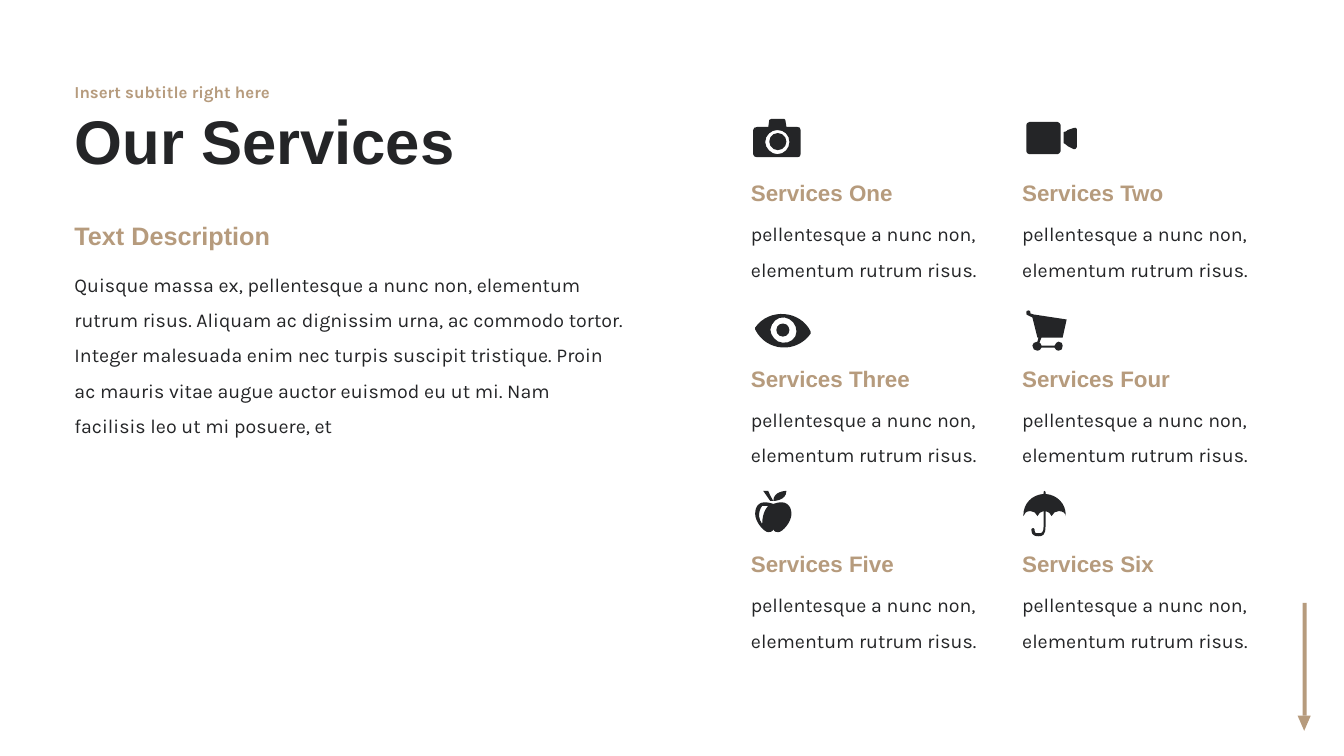
from pptx import Presentation, util as u
from pptx.dml.color import RGBColor
from pptx.enum import shapes, text
from pptx.oxml import ns, xmlchemy

INK = RGBColor(0x24, 0x25, 0x27)
TAN = RGBColor(0xB6, 0x9B, 0x7D)
MARGIN = 0.64
COLUMNS = (7.35, 10.04)
FIRST_ROW, ROW_STEP = 1.03, 1.84

# Icon outlines in hundredths of an inch from the top left of their grid cell.
# A pair is a corner, six numbers are a Bezier curve; each shape is a list of contours.
CAMERA = [[
    [(56, 23), (45, 23), (44, 16), (44, 15, 43, 15, 43, 15), (30, 15),
     (29, 15, 29, 15, 28, 16), (27, 23), (16, 23), (14, 23, 12, 24, 12, 26),
     (12, 50), (12, 52, 14, 53, 16, 53), (56, 53), (58, 53, 59, 52, 59, 50),
     (59, 26), (59, 24, 58, 23, 56, 23)],
    [(36, 50), (30, 50, 24, 44, 24, 38), (24, 31, 30, 26, 36, 26),
     (43, 26, 48, 31, 48, 38), (48, 44, 43, 50, 36, 50)],
]]
VIDEO = [
    [[(45, 18), (17, 18), (15, 18, 14, 20, 14, 21), (14, 47),
      (14, 48, 15, 50, 17, 50), (45, 50), (46, 50, 48, 48, 48, 47),
      (48, 21), (48, 20, 46, 18, 45, 18)]],
    [[(61, 24), (55, 26), (54, 27, 53, 28, 51, 28), (51, 39),
      (53, 40, 54, 41, 55, 42), (61, 45), (62, 45, 64, 45, 64, 43),
      (64, 25), (64, 24, 62, 23, 61, 24)]],
]
EYE = [[
    [(14, 38), (14, 40), (25, 62, 55, 64, 69, 44), (69, 42), (59, 21, 28, 18, 14, 38)],
    [(41, 53), (35, 53, 29, 46, 29, 40), (30, 33, 36, 27, 43, 28),
     (50, 29, 55, 35, 55, 42), (55, 49, 48, 54, 41, 53)],
]]
CART = [[
    [(46, 52), (44, 52, 43, 54, 42, 56), (29, 56), (29, 54, 28, 54, 27, 53),
     (29, 48), (50, 48), (54, 30), (21, 25), (18, 24), (18, 23),
     (18, 22, 18, 21, 16, 21), (14, 21, 14, 22, 14, 23), (14, 25, 14, 26, 16, 26),
     (20, 28), (25, 48), (26, 48), (25, 52), (22, 52, 20, 54, 20, 56),
     (20, 59, 22, 61, 25, 61), (27, 61, 28, 60, 29, 58), (42, 58),
     (43, 60, 44, 61, 46, 61), (49, 61, 50, 59, 50, 56), (50, 54, 49, 52, 46, 52)],
]]
APPLE = [
    [[(32, 29), (18, 24, 14, 31, 14, 39), (14, 47, 23, 57, 27, 57),
      (32, 57, 32, 54, 32, 54), (32, 54, 32, 57, 37, 57), (41, 57, 50, 47, 50, 39),
      (50, 31, 45, 24, 32, 29)],
     [(21, 49), (14, 39, 21, 31, 21, 31), (27, 31), (27, 31, 21, 36, 21, 49)]],
    [[(32, 26), (29, 21, 27, 16, 27, 16), (22, 16), (29, 26)]],
    [[(45, 16), (45, 16, 32, 16, 32, 26), (32, 26, 45, 26, 45, 16)]],
]
UMBRELLA = [[
    [(33, 19), (33, 17), (33, 17, 33, 16, 32, 16), (31, 16, 31, 17, 31, 17), (31, 19),
     (19, 20, 11, 29, 11, 40), (11, 41), (12, 38, 14, 36, 18, 36),
     (21, 36, 24, 38, 25, 41), (26, 39, 28, 36, 31, 36), (31, 51),
     (31, 58, 29, 58, 26, 58), (22, 58, 22, 57, 22, 54), (22, 53, 21, 53, 21, 53),
     (20, 53, 19, 53, 19, 54), (19, 57, 19, 61, 26, 61), (30, 61, 33, 60, 33, 51),
     (33, 36), (36, 36, 38, 39, 39, 41), (40, 38, 43, 36, 46, 36),
     (50, 36, 53, 38, 53, 41), (53, 40), (53, 29, 45, 20, 33, 19)],
]]

# Heading, icon outlines, and the round centre as left, top, diameter
SERVICES = [
    ("Services One", CAMERA, (28, 29, 17)),
    ("Services Two", VIDEO, None),
    ("Services Three", EYE, (35, 34, 13)),
    ("Services Four", CART, None),
    ("Services Five", APPLE, None),
    ("Services Six", UMBRELLA, None),
]

prs = Presentation()
prs.slide_width, prs.slide_height = u.Inches(13.33), u.Inches(7.5)
slide = prs.slides.add_slide(prs.slide_layouts[5])


def write(box, words, size, font, color, bold=False, spacing=None, fit=True):
    frame = box.text_frame
    frame.word_wrap = True
    frame.auto_size = (text.MSO_AUTO_SIZE.SHAPE_TO_FIT_TEXT if fit
                       else text.MSO_AUTO_SIZE.NONE)
    frame.vertical_anchor = text.MSO_ANCHOR.TOP if fit else text.MSO_ANCHOR.MIDDLE
    paragraph = frame.paragraphs[0]
    paragraph.alignment = text.PP_ALIGN.LEFT
    paragraph.line_spacing = spacing
    run = paragraph.add_run()
    run.text = words
    run.font.size, run.font.name, run.font.bold = u.Pt(size), font, bold
    run.font.color.rgb = color


def draw_outline(contours, left, top):
    """Build a freeform through all points, then bend each curve's three segments."""
    outline = None
    for contour in contours:
        points = [(u.Inches(left + step[i] / 100), u.Inches(top + step[i + 1] / 100))
                  for step in contour for i in range(0, len(step), 2)]
        if outline is None:
            outline = slide.shapes.build_freeform(*points[0])
        else:
            outline.move_to(*points[0])
        outline.add_line_segments(points[1:], close=True)
    shape = outline.convert_to_shape()

    segments = iter(list(next(shape.element.iter(ns.qn("a:path")))))
    for contour in contours:
        next(segments)  # move to the start
        for step in contour[1:]:
            lines = [next(segments) for _ in range(len(step) // 2)]
            if len(lines) == 3:
                curve = xmlchemy.OxmlElement("a:cubicBezTo")
                lines[0].addprevious(curve)
                for line in lines:
                    curve.append(line[0])
                    line.getparent().remove(line)
        next(segments)  # close
    return shape


# Scroll arrow
shaft = slide.shapes.add_shape(shapes.MSO_SHAPE.RECTANGLE, u.Inches(12.38), u.Inches(6.52),
                               u.Inches(1.12), u.Inches(0.04))
shaft.rotation = 90
tip = slide.shapes.add_shape(shapes.MSO_SHAPE.ISOSCELES_TRIANGLE, u.Inches(12.87),
                             u.Inches(7.1), u.Inches(0.13), u.Inches(0.15))
tip.rotation = 180
painted = [(shaft, TAN), (tip, TAN)]

# Title and description
title = slide.shapes.title
title.left, title.top = u.Inches(MARGIN), u.Inches(0.92)
title.width, title.height = u.Inches(7.5), u.Inches(1.03)
write(title, "Our Services", 44, "Arial", INK, bold=True, spacing=0.9, fit=False)

subtitle = slide.shapes.add_textbox(u.Inches(MARGIN), u.Inches(0.73),
                                    u.Inches(7.5), u.Inches(0.38))
write(subtitle, "Insert subtitle right here", 12, "Karla", TAN,
      bold=True, spacing=0.9, fit=False)

description = slide.shapes.add_textbox(u.Inches(MARGIN), u.Inches(2.54),
                                       u.Inches(5.65), u.Inches(1.48))
write(description,
      "Quisque massa ex, pellentesque a nunc non, elementum rutrum risus. Aliquam ac "
      "dignissim urna, ac commodo tortor. Integer malesuada enim nec turpis suscipit "
      "tristique. Proin ac mauris vitae augue auctor euismod eu ut mi. Nam facilisis "
      "leo ut mi posuere, et", 14, "Karla", INK, spacing=1.5)

heading = slide.shapes.add_textbox(u.Inches(MARGIN), u.Inches(2.14),
                                   u.Inches(2.92), u.Inches(0.4))
write(heading, "Text Description", 18, "Arial", TAN, bold=True)

# Services, two to a row
for index, (name, outlines, centre) in enumerate(SERVICES):
    row, column = divmod(index, len(COLUMNS))
    left, top = COLUMNS[column], FIRST_ROW + row * ROW_STEP

    for contours in outlines:
        painted.append((draw_outline(contours, left, top), INK))
    if centre:
        x, y, diameter = (value / 100 for value in centre)
        pupil = slide.shapes.add_shape(shapes.MSO_SHAPE.OVAL, u.Inches(left + x),
                                       u.Inches(top + y), u.Inches(diameter),
                                       u.Inches(diameter))
        painted.append((pupil, INK))

    summary = slide.shapes.add_textbox(u.Inches(left), u.Inches(top + 1.01),
                                       u.Inches(2.57), u.Inches(0.77))
    write(summary, "pellentesque a nunc non, elementum rutrum risus.",
          14, "Karla", INK, spacing=1.5)
    label = slide.shapes.add_textbox(u.Inches(left), u.Inches(top + 0.7),
                                     u.Inches(2.17), u.Inches(0.37))
    write(label, name, 16, "Arial", TAN, bold=True)

for shape, color in painted:
    shape.shadow.inherit = False
    shape.fill.solid()
    shape.fill.fore_color.rgb = color
    shape.line.fill.background()

prs.save("out.pptx")
